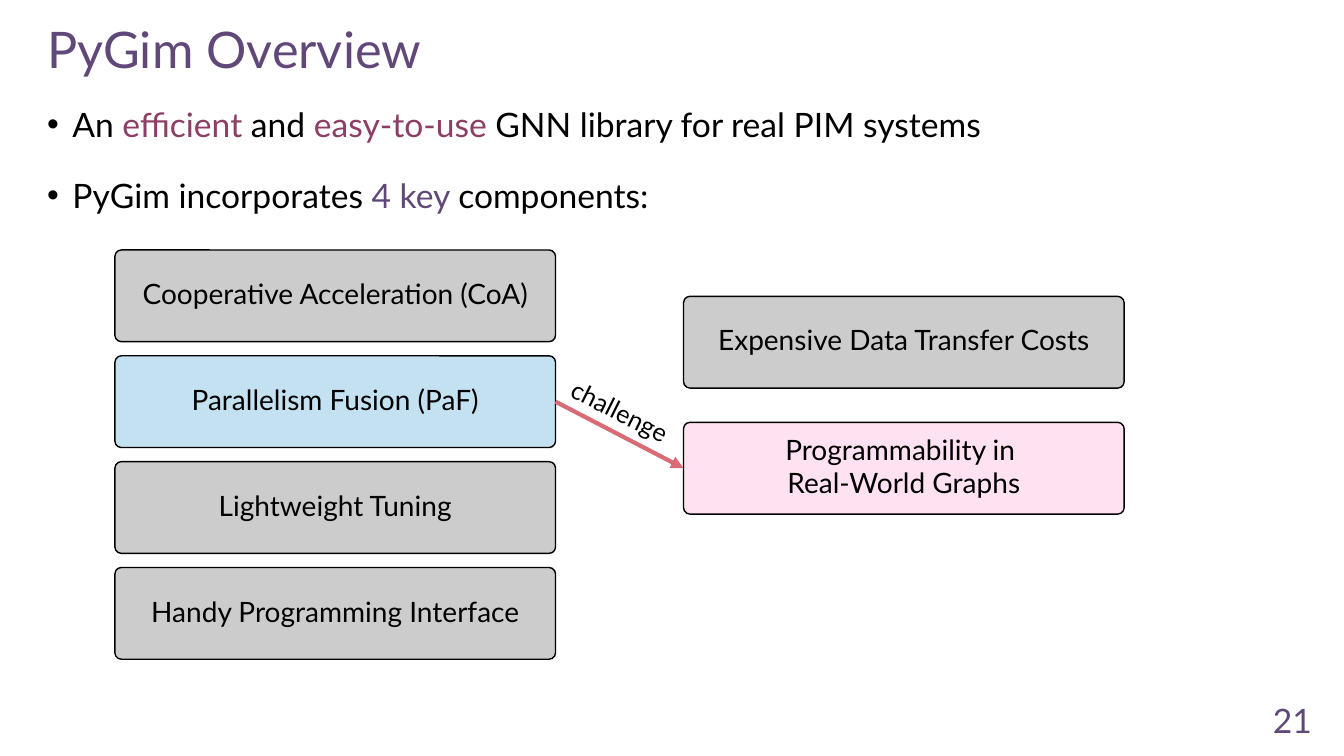
import pptx
import pptx.dml.color
import pptx.enum.shapes
import pptx.enum.text
import pptx.oxml
import pptx.oxml.ns
import pptx.util
from pptx.util import Inches

FONT = "Lato"
COLORS = {
    "black": "000000",
    "purple": "604878",
    "plum": "8D3E64",
    "gray": "CCCCCC",
    "blue": "C4E1F2",
    "pink": "FEE2F1",
    "arrow": "D96B77",
}
ALIGN = pptx.enum.text.PP_ALIGN
ANCHOR = pptx.enum.text.MSO_ANCHOR
BOX_WIDTH, BOX_HEIGHT = 4.37, 0.91


def rgb(name):
    return pptx.dml.color.RGBColor.from_string(COLORS[name])


def add_xml(parent, tag, **attributes):
    element = parent.makeelement(pptx.oxml.ns.qn(tag), attributes)
    parent.append(element)
    return element


def write_text(frame, paragraphs, size, color="black", align=ALIGN.LEFT,
               anchor=ANCHOR.TOP, wrap=True, bullet=None, before=0, after=0,
               line_spacing=None):
    """Fill a frame; each paragraph is a string or a list of (text, color) runs."""
    frame.word_wrap = wrap
    frame.vertical_anchor = anchor
    for index, content in enumerate(paragraphs):
        paragraph = frame.add_paragraph() if index else frame.paragraphs[0]
        paragraph.alignment = align
        paragraph.space_before = pptx.util.Pt(before if index else 0)
        paragraph.space_after = pptx.util.Pt(after)
        if line_spacing:
            paragraph.line_spacing = line_spacing
        if bullet:
            properties = paragraph._p.get_or_add_pPr()
            properties.set("marL", str(Inches(0.25)))
            properties.set("indent", str(Inches(-0.25)))
            add_xml(properties, "a:buFont", typeface="Arial")
            add_xml(properties, "a:buChar", char=bullet)
        runs = [(content, color)] if isinstance(content, str) else content
        for text, run_color in runs:
            run = paragraph.add_run()
            run.text = text
            run.font.name = FONT
            run.font.size = pptx.util.Pt(size)
            run.font.color.rgb = rgb(run_color)


def add_text(slide, left, top, width, height, paragraphs, rotation=0, **style):
    shape = slide.shapes.add_textbox(
        Inches(left), Inches(top), Inches(width), Inches(height))
    shape.rotation = rotation
    write_text(shape.text_frame, paragraphs, **style)


def add_box(slide, left, top, lines, fill):
    shape = slide.shapes.add_shape(
        pptx.enum.shapes.MSO_SHAPE.ROUNDED_RECTANGLE,
        Inches(left), Inches(top), Inches(BOX_WIDTH), Inches(BOX_HEIGHT))
    shape.adjustments[0] = 0.07
    shape.shadow.inherit = False
    shape.fill.solid()
    shape.fill.fore_color.rgb = rgb(fill)
    shape.line.color.rgb = rgb("black")
    shape.line.width = pptx.util.Pt(1)
    frame = shape.text_frame
    frame.margin_top, frame.margin_bottom = 0, Inches(0.05)
    write_text(frame, lines, size=20, align=ALIGN.CENTER, anchor=ANCHOR.MIDDLE)
    return shape


def add_arrow(slide, source, target):
    """Join the right side of source to the left side of target."""
    arrow = slide.shapes.add_connector(
        pptx.enum.shapes.MSO_CONNECTOR.STRAIGHT, 0, 0, 0, 0)
    arrow.begin_connect(source, 3)
    arrow.end_connect(target, 1)
    arrow.line.color.rgb = rgb("arrow")
    arrow.line.width = pptx.util.Pt(3)
    add_xml(arrow.line._get_or_add_ln(), "a:tailEnd", type="triangle")
    add_xml(arrow._element.spPr, "a:effectLst")


def main():
    presentation = pptx.Presentation()
    presentation.slide_width = Inches(13.33)
    presentation.slide_height = Inches(7.5)
    slide = presentation.slides.add_slide(presentation.slide_layouts[6])

    add_text(slide, 0.37, 0.06, 12.58, 0.92, ["PyGim Overview"], size=36,
             color="purple", anchor=ANCHOR.MIDDLE, line_spacing=0.9)
    add_text(slide, 10.11, 6.94, 3, 0.4, ["21"], size=24, color="purple",
             align=ALIGN.RIGHT, anchor=ANCHOR.MIDDLE)
    add_text(slide, 0.37, 0.98, 12.58, 1.52, [
        [("An ", "black"), ("efficient", "plum"), (" and ", "black"),
         ("easy-to-use", "plum"),
         (" GNN library for real PIM systems", "black")],
        [("PyGim incorporates ", "black"), ("4 key ", "purple"),
         ("components:", "black")],
    ], size=24, bullet="•", before=12, after=10)

    components = [
        ("Cooperative Acceleration (CoA)", "gray"),
        ("Parallelism Fusion (PaF)", "blue"),
        ("Lightweight Tuning", "gray"),
        ("Handy Programming Interface", "gray"),
    ]
    component_boxes = [add_box(slide, 1.14, 2.48 + 1.05 * row, [label], fill)
                       for row, (label, fill) in enumerate(components)]
    challenges = [
        (["Expensive Data Transfer Costs"], "gray"),
        (["Programmability in ", "Real-World Graphs"], "pink"),
    ]
    challenge_boxes = [add_box(slide, 6.78, 2.94 + 1.25 * row, lines, fill)
                       for row, (lines, fill) in enumerate(challenges)]

    add_arrow(slide, component_boxes[1], challenge_boxes[1])
    add_text(slide, 5.53, 3.89, 1.29, 0.4, ["challenge"], rotation=26.6,
             size=18, wrap=False)
    presentation.save("out.pptx")


if __name__ == "__main__":
    main()
